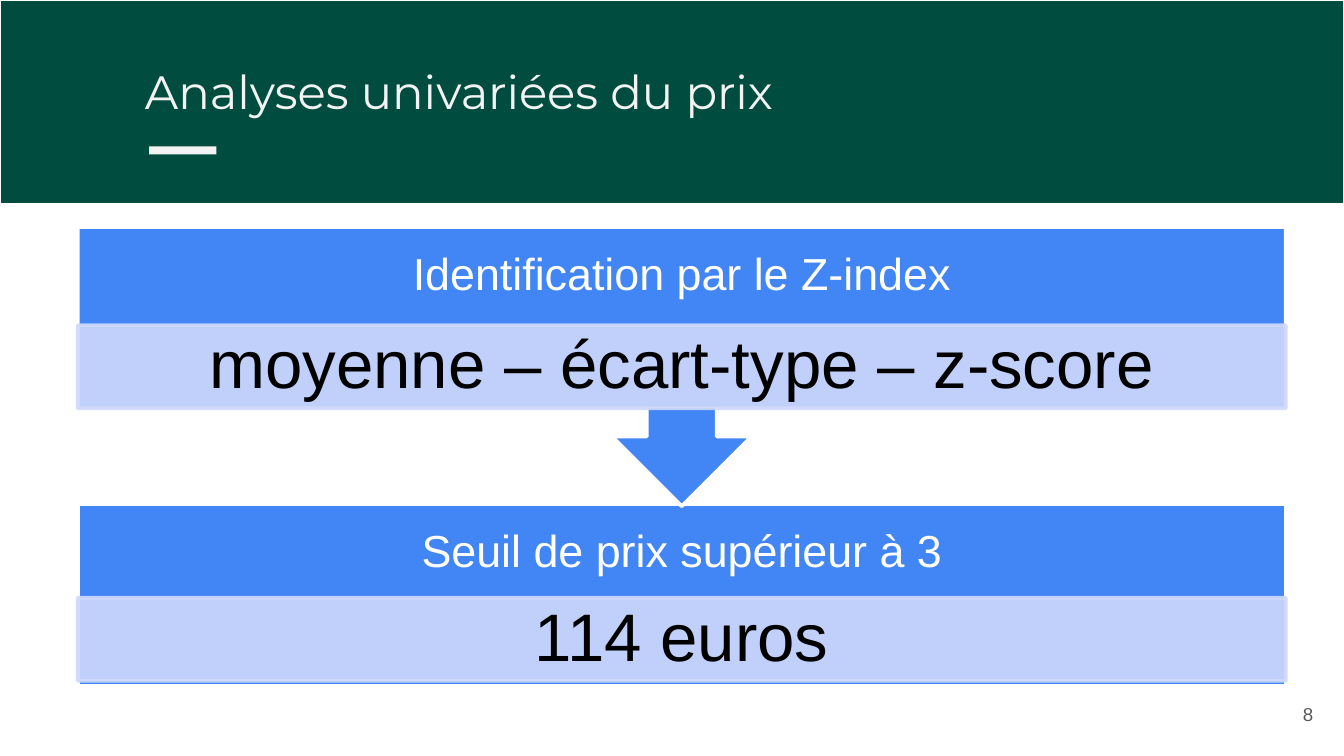
from lxml import etree
from pptx import Presentation
from pptx import util as u
from pptx.dml.color import RGBColor
from pptx.enum import shapes, text
from pptx.oxml.ns import qn

GREEN = RGBColor(0x00, 0x4D, 0x40)
BLUE = RGBColor(0x42, 0x85, 0xF4)
PALE_BLUE = RGBColor(0xCF, 0xD9, 0xFB)
OFF_WHITE = RGBColor(0xF3, 0xF3, 0xF3)
WHITE = RGBColor(0xFF, 0xFF, 0xFF)
BLACK = RGBColor(0x00, 0x00, 0x00)
GREY = RGBColor(0x59, 0x59, 0x59)

KIND = shapes.MSO_SHAPE
ALIGN = text.PP_ALIGN
ANCHOR = text.MSO_ANCHOR

STEP_LEFT, STEP_WIDTH = 1.47, 22.83
HEADING_HEIGHT, DETAIL_HEIGHT = 1.85, 1.57


class SlideBuilder:
    """Holds the text style and the current slide."""

    heading = {"name": "Arial", "size": u.Pt(24)}
    detail = {"name": "Arial", "size": u.Pt(36)}

    def __init__(self, deck):
        self.page = deck.slides.add_slide(deck.slide_layouts[5])

    def place(self, item, left, top, width, height):
        edges = {"left": left, "top": top, "width": width, "height": height}
        for name, value in edges.items():
            setattr(item, name, u.Cm(value))

    def set_text(self, item, words, font, color, align, anchor=ANCHOR.MIDDLE,
                 inset=(0.25, 0.25), spacing=1.0):
        frame = item.text_frame
        side, end = (u.Cm(value) for value in inset)
        layout = {"word_wrap": True, "auto_size": text.MSO_AUTO_SIZE.NONE,
                  "vertical_anchor": anchor,
                  "margin_left": side, "margin_right": side,
                  "margin_top": end, "margin_bottom": end}
        for name, value in layout.items():
            setattr(frame, name, value)
        para = frame.paragraphs[0]
        para.alignment = align
        para.line_spacing = spacing
        span = para.add_run()
        span.text = words
        for name, value in font.items():
            setattr(span.font, name, value)
        span.font.color.rgb = color

    def title(self, words, *place):
        title = self.page.shapes.title
        self.place(title, *place)
        self.set_text(title, words, {"name": "Montserrat", "size": u.Pt(25)},
                      OFF_WHITE, ALIGN.LEFT, ANCHOR.TOP)
        # Bring the title in front of the banner
        self.page.shapes.element.append(title.element)

    def shape(self, kind, place, fill, line=None, weight=2.0, opacity=None):
        box = self.page.shapes.add_shape(kind, *map(u.Cm, place))
        box.shadow.inherit = False
        box.fill.solid()
        box.fill.fore_color.rgb = fill
        if line is None:
            box.line.fill.background()
        else:
            box.line.color.rgb = line
            box.line.width = u.Pt(weight)
        if opacity is not None:
            for color in box.element.spPr.iter(qn("a:srgbClr")):
                etree.SubElement(color, qn("a:alpha"), val=str(opacity * 1000))
        return box

    def label(self, words, place, font, color, align, **options):
        box = self.page.shapes.add_textbox(*map(u.Cm, place))
        self.set_text(box, words, font, color, align, **options)

    def step(self, kind, top, height, detail_top, heading, detail, rotation=0):
        body = self.shape(kind, (STEP_LEFT, top, STEP_WIDTH, height), BLUE, WHITE)
        body.rotation = rotation
        self.label(heading, (STEP_LEFT, top, STEP_WIDTH, HEADING_HEIGHT),
                   self.heading, WHITE, ALIGN.CENTER, inset=(0.48, 0.48), spacing=0.9)
        band = self.shape(KIND.RECTANGLE,
                          (STEP_LEFT, detail_top, STEP_WIDTH, DETAIL_HEIGHT),
                          PALE_BLUE, PALE_BLUE, opacity=90)
        self.set_text(band, detail, self.detail, BLACK, ALIGN.CENTER,
                      inset=(0.71, 0.13), spacing=0.9)


def main():
    deck = Presentation()
    deck.slide_width, deck.slide_height = u.Cm(25.4), u.Cm(14.29)
    builder = SlideBuilder(deck)

    # Banner with title and accent bar
    builder.shape(KIND.RECTANGLE, (0, 0, 25.4, 3.86), GREEN, WHITE, 0.75)
    builder.title("Analyses univariées du prix", 2.49, 0.94, 23.67, 1.6)
    builder.shape(KIND.RECTANGLE, (2.82, 2.77, 1.27, 0.15), OFF_WHITE)

    # Page number
    builder.label("8", (23.55, 12.95, 1.52, 1.09),
                  {"name": "Arial", "size": u.Pt(10)}, GREY, ALIGN.RIGHT)

    # Result first, so that the arrow of the method lies over it
    builder.step(KIND.RECTANGLE, 9.53, 3.43, 11.3,
                 "Seuil de prix supérieur à 3", "114 euros")
    builder.step(KIND.UP_ARROW_CALLOUT, 4.29, 5.28, 6.15,
                 "Identification par le Z-index",
                 "moyenne – écart-type – z-score", rotation=180)

    deck.save("out.pptx")


if __name__ == "__main__":
    main()
